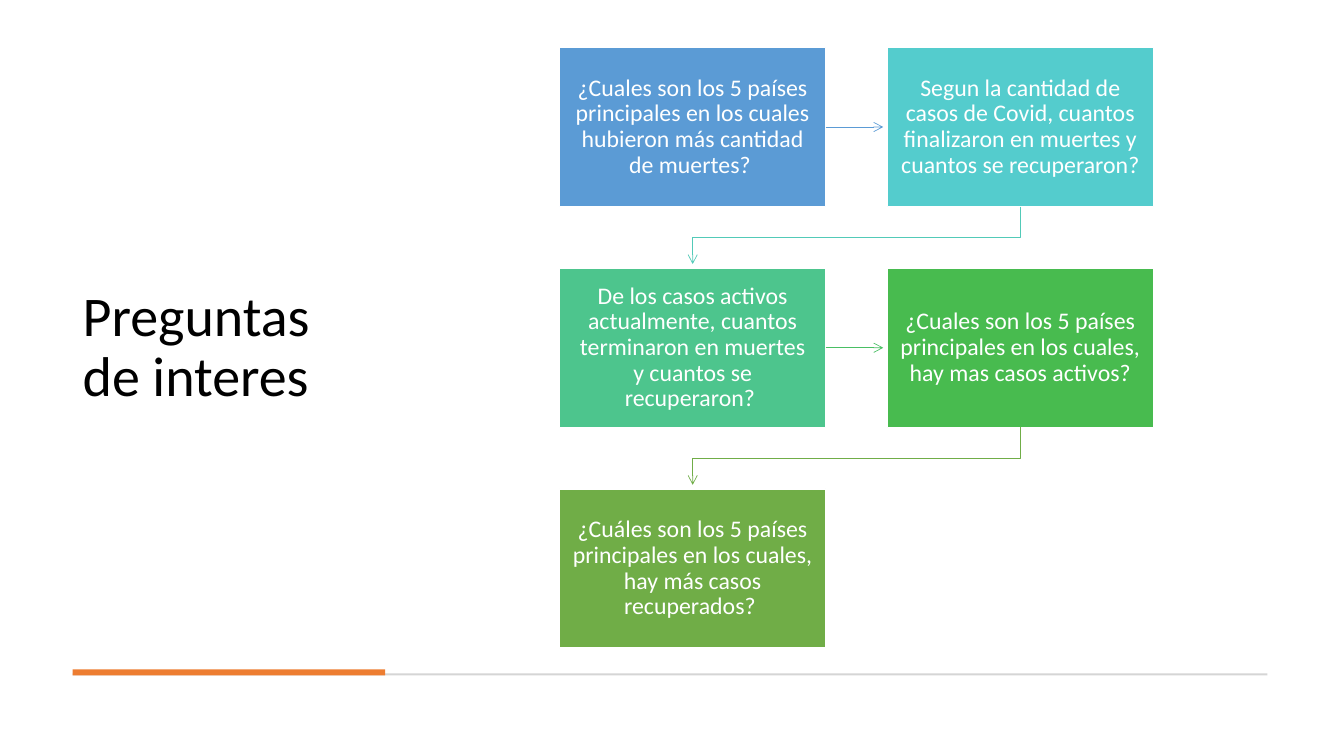
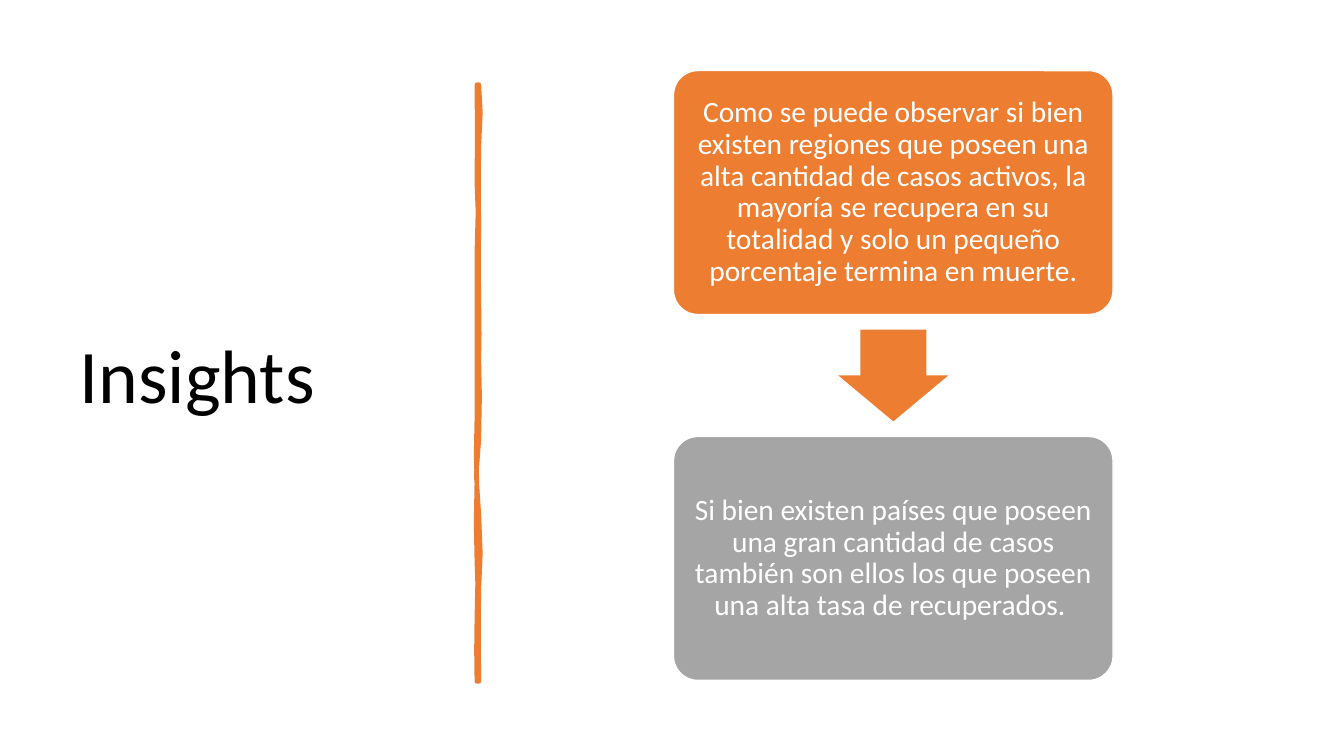
"""Builds two slides: a flow of questions and a pair of insights."""
from dataclasses import dataclass

import pptx
import pptx.util
import pptx.dml.color
import pptx.enum.shapes
import pptx.enum.text
import pptx.oxml
import pptx.oxml.ns

Inches = pptx.util.Inches
SHAPE = pptx.enum.shapes.MSO_SHAPE
ALIGN = pptx.enum.text.PP_ALIGN


@dataclass(frozen=True)
class Theme:
    """Colours, font and type sizes shared by the slides."""
    font: str = "Calibri"
    black: str = "000000"
    white: str = "FFFFFF"
    orange: str = "ED7D31"
    gray: str = "A5A5A5"
    rule: str = "D5D5D5"
    title: int = 40
    big_title: int = 54
    question: int = 17
    insight: int = 21
    leading: float = 0.9


T = Theme()

QUESTIONS = [
    ("¿Cuales son los 5 países principales en los cuales hubieron más cantidad de muertes? ", "5B9BD5"),
    ("Segun la cantidad de casos de Covid, cuantos finalizaron en muertes y cuantos se recuperaron? ", "54CCCD"),
    ("De los casos activos actualmente, cuantos terminaron en muertes y cuantos se recuperaron? ", "4DC58D"),
    ("¿Cuales son los 5 países principales en los cuales, hay mas casos activos?", "48BB4F"),
    ("¿Cuáles son los 5 países principales en los cuales, hay más casos recuperados? ", "70AD47"),
]
ARROW_COLORS = ["5B9BD5", "52CAB8", "49BF64", "70AD47"]

INSIGHTS = [
    ("Como se puede observar si bien existen regiones que poseen una alta cantidad de casos activos, "
     "la mayoría se recupera en su totalidad y solo un pequeño porcentaje termina en muerte.", T.orange),
    ("Si bien existen países que poseen una gran cantidad de casos también son ellos los que poseen "
     "una alta tasa de recuperados. ", T.gray),
]

BRUSH_START = (4.75, 0.84)
BRUSH_CURVES = [
    ((4.77, 1.02), (4.77, 1.19), (4.75, 1.46)),
    ((4.73, 1.73), (4.76, 1.95), (4.75, 2.26)),
    ((4.74, 2.57), (4.75, 2.62), (4.75, 2.94)),
    ((4.74, 3.25), (4.77, 3.42), (4.75, 3.56)),
    ((4.73, 3.7), (4.79, 4.14), (4.75, 4.36)),
    ((4.71, 4.57), (4.72, 4.84), (4.75, 5.1)),
    ((4.77, 5.36), (4.77, 5.64), (4.75, 5.84)),
    ((4.73, 6.03), (4.76, 6.5), (4.75, 6.76)),
    ((4.74, 6.76), (4.73, 6.76), (4.73, 6.76)),
    ((4.74, 6.46), (4.71, 6.44), (4.73, 6.13)),
    ((4.74, 5.83), (4.74, 5.7), (4.73, 5.57)),
    ((4.72, 5.44), (4.72, 4.95), (4.73, 4.77)),
    ((4.73, 4.59), (4.71, 4.45), (4.73, 4.15)),
    ((4.74, 3.86), (4.72, 3.73), (4.73, 3.35)),
    ((4.74, 2.98), (4.72, 2.81), (4.73, 2.5)),
    ((4.74, 2.18), (4.75, 2), (4.73, 1.81)),
    ((4.7, 1.63), (4.77, 1.04), (4.73, 0.84)),
]


def rgb(color):
    """Return a colour object for a hex string."""
    return pptx.dml.color.RGBColor.from_string(color)


def paint(sp, fill=None, line=None, width=1):
    """Set fill and line of a shape and drop its shadow."""
    sp.shadow.inherit = False
    if fill:
        sp.fill.solid()
        sp.fill.fore_color.rgb = rgb(fill)
    else:
        sp.fill.background()
    if line:
        sp.line.color.rgb = rgb(line)
        sp.line.width = pptx.util.Pt(width)
    else:
        sp.line.fill.background()


def write(tf, text, size, color, align, insets):
    """Write one vertically centred paragraph."""
    tf.word_wrap = True
    tf.auto_size = pptx.enum.text.MSO_AUTO_SIZE.NONE
    tf.vertical_anchor = pptx.enum.text.MSO_ANCHOR.MIDDLE
    tf.margin_left, tf.margin_top, tf.margin_right, tf.margin_bottom = map(Inches, insets)
    p = tf.paragraphs[0]
    p.text = text
    p.alignment = align
    p.line_spacing = T.leading
    p.font.name = T.font
    p.font.size = pptx.util.Pt(size)
    p.font.color.rgb = rgb(color)


def add_box(s, kind, box, fill, line=None):
    """Add a filled preset shape."""
    sp = s.shapes.add_shape(kind, *map(Inches, box))
    paint(sp, fill, line)
    return sp


def add_outline(s, points, closed):
    """Add a freeform through points given in inches."""
    start, *rest = [(Inches(x), Inches(y)) for x, y in points]
    builder = s.shapes.build_freeform(*start)
    builder.add_line_segments(rest, close=closed)
    return builder.convert_to_shape()


def add_arrowhead(sp):
    """Put an open arrowhead at the end of a line."""
    ln = sp.line._get_or_add_ln()
    ln.append(pptx.oxml.parse_xml(f'<a:tailEnd {pptx.oxml.ns.nsdecls("a")} type="arrow"/>'))


def add_straight_arrow(s, x1, x2, y, color):
    """Add a horizontal arrow."""
    c = s.shapes.add_connector(pptx.enum.shapes.MSO_CONNECTOR.STRAIGHT, *map(Inches, (x1, y, x2, y)))
    c.line.color.rgb = rgb(color)
    c.line.width = pptx.util.Pt(0.5)
    add_arrowhead(c)
    c._element.spPr.append(pptx.oxml.parse_xml(f'<a:effectLst {pptx.oxml.ns.nsdecls("a")}/>'))


def add_elbow_arrow(s, x1, y1, x2, y2, bend, color):
    """Add an arrow that goes down, across and down again."""
    sp = add_outline(s, [(x1, y1), (x1, bend), (x2, bend), (x2, y2)], False)
    paint(sp, line=color, width=0.5)
    add_arrowhead(sp)


def add_slide(prs, title, box, size, right_inset=0.1):
    """Add a title-only slide with the title on the left."""
    s = prs.slides.add_slide(prs.slide_layouts[5])
    sp = s.shapes.title
    sp.left, sp.top, sp.width, sp.height = map(Inches, box)
    write(sp.text_frame, title, size, T.black, ALIGN.LEFT, (0.1, 0.05, right_inset, 0.05))
    return s


def flatten(start, curves, steps=2):
    """Turn cubic curves into a list of points."""
    points = [start]
    for curve in curves:
        corners = (points[-1], *curve)
        for i in range(1, steps + 1):
            t = i / steps
            weights = ((1 - t) ** 3, 3 * t * (1 - t) ** 2, 3 * t * t * (1 - t), t ** 3)
            points.append(tuple(sum(w * c[axis] for w, c in zip(weights, corners)) for axis in (0, 1)))
    return points


def build_questions(prs):
    """Lay out the questions in two columns joined by arrows."""
    s = add_slide(prs, "Preguntas de interes", (0.72, 0.47, 3.1, 5.97), T.title, 0.3)
    add_box(s, SHAPE.RECTANGLE, (0.72, 6.68, 11.85, 0.02), T.rule)
    add_box(s, SHAPE.RECTANGLE, (0.72, 6.64, 3.1, 0.06), T.orange)
    left, top, width, height = 5.55, 0.47, 2.64, 1.58
    pitch_x, pitch_y, gap = 3.25, 2.19, 0.04
    for i, (text, color) in enumerate(QUESTIONS):
        row, col = divmod(i, 2)
        x, y = left + col * pitch_x, top + row * pitch_y
        sp = add_box(s, SHAPE.RECTANGLE, (x, y, width, height), color, T.white)
        write(sp.text_frame, text, T.question, T.white, ALIGN.CENTER, (0.13, 0.14, 0.13, 0.14))
    for i, color in enumerate(ARROW_COLORS):
        row, col = divmod(i, 2)
        y = top + row * pitch_y
        if col == 0:
            add_straight_arrow(s, left + width, left + pitch_x - gap, y + height / 2, color)
        else:
            center, bottom, below = left + width / 2, y + height, y + pitch_y
            add_elbow_arrow(s, center + pitch_x, bottom, center, below - gap, (bottom + below) / 2, color)


def build_insights(prs):
    """Stack the insights with an arrow between them."""
    s = add_slide(prs, "Insights", (0.69, 0.7, 3.74, 6.11), T.big_title)
    brush = add_outline(s, flatten(BRUSH_START, BRUSH_CURVES), True)
    paint(brush, T.orange, T.orange, 3.25)
    left, top, width, height, pitch = 6.68, 0.7, 4.36, 2.42, 3.63
    for i, (text, color) in enumerate(INSIGHTS):
        sp = add_box(s, SHAPE.ROUNDED_RECTANGLE, (left, top + i * pitch, width, height), color, T.white)
        sp.adjustments[0] = 0.1
        write(sp.text_frame, text, T.insight, T.white, ALIGN.CENTER, (0.09,) * 4)
    arrow_w, arrow_h = 1.09, 0.91
    x = left + (width - arrow_w) / 2
    y = top + (height + pitch - arrow_h) / 2
    arrow = add_box(s, SHAPE.DOWN_ARROW, (x, y, arrow_w, arrow_h), T.orange)
    arrow.adjustments[0], arrow.adjustments[1] = 0.6, 0.5


def main():
    """Build and save the presentation."""
    prs = pptx.Presentation()
    prs.slide_width, prs.slide_height = Inches(13.33), Inches(7.5)
    build_questions(prs)
    build_insights(prs)
    prs.save("out.pptx")


main()
